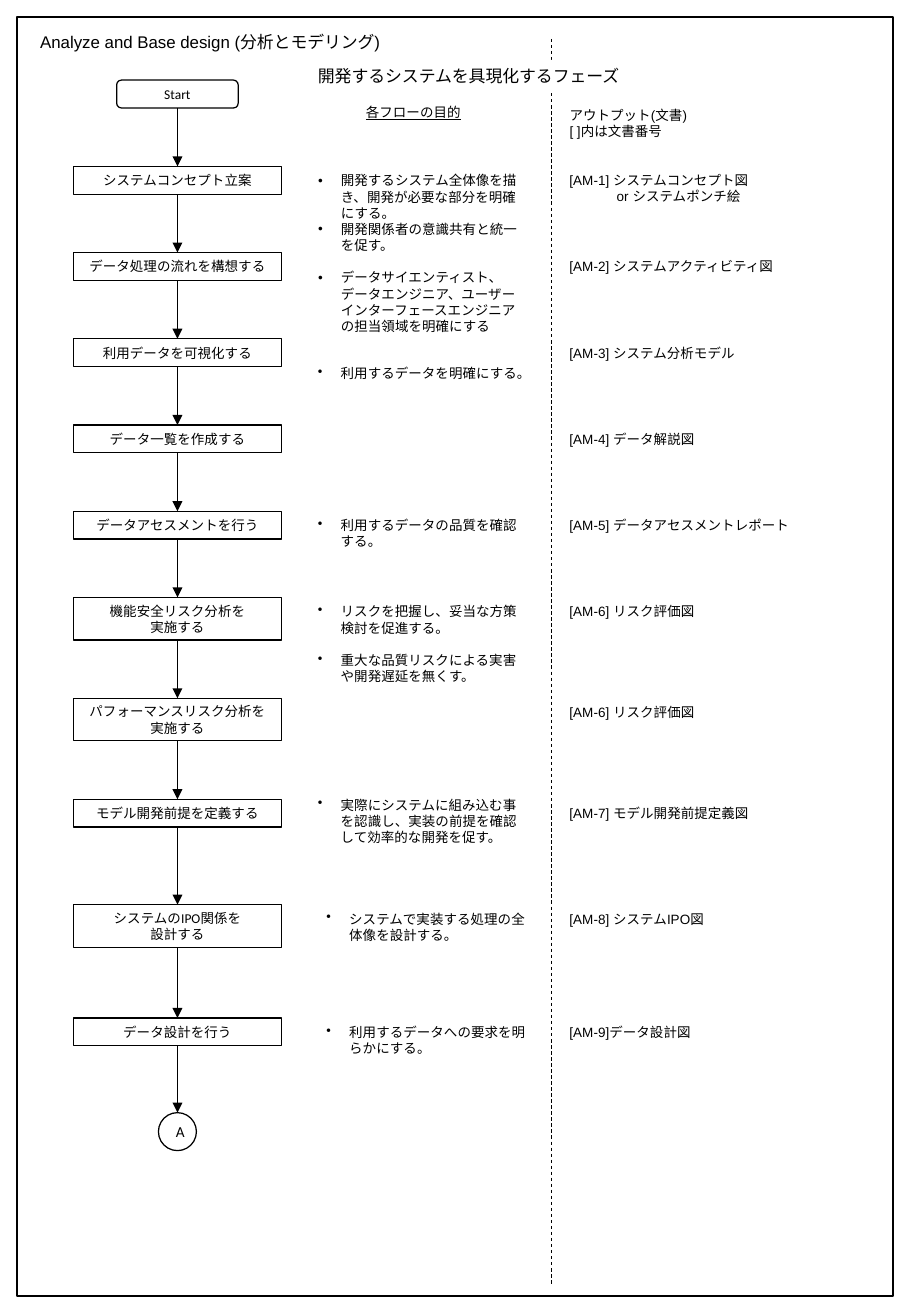
"""Build the one-page flow of the analysis and modelling phase."""
from dataclasses import dataclass

from lxml.etree import SubElement
from pptx import Presentation
from pptx.dml.color import RGBColor
from pptx.enum.dml import MSO_LINE
from pptx.enum.shapes import MSO_CONNECTOR, MSO_SHAPE
from pptx.enum.text import MSO_ANCHOR, MSO_AUTO_SIZE, PP_ALIGN
from pptx.oxml.ns import qn
from pptx.util import Pt

INK, PAPER = "000000", "FFFFFF"
AXIS, TOP, GAP, LOW, TALL = 105.2, 47.5, 34.6, 16.5, 25.2
WIDE, AIM_X, OUT_X = 123, 181.4, 330.5
INDENT, BLANK = 13.5, 9.6


@dataclass
class Aim:
    """Bulleted purpose of a step, with its offset from the step."""
    items: tuple
    right: float = 0
    down: float = 0
    apart: int = -1


@dataclass
class Step:
    """Box of the flow, with its output and purpose."""
    label: tuple
    out: tuple = ()
    aim: Aim | None = None
    height: float = LOW
    gap: float = GAP
    width: float = WIDE
    kind: MSO_SHAPE = MSO_SHAPE.FLOWCHART_PROCESS
    size: float = 8
    room: float = 160


STEPS = (
    Step(("Start",), width=72, kind=MSO_SHAPE.FLOWCHART_ALTERNATE_PROCESS),
    Step(("システムコンセプト立案",),
         ("[AM-1] システムコンセプト図", "or システムポンチ絵"),
         Aim(("開発するシステム全体像を描き、開発が必要な部分を明確にする。",
              "開発関係者の意識共有と統一を促す。",
              "データサイエンティスト、データエンジニア、ユーザーインターフェース"
              "エンジニアの担当領域を明確にする"), apart=2)),
    Step(("データ処理の流れを構想する",), ("[AM-2] システムアクティビティ図",)),
    Step(("利用データを可視化する",), ("[AM-3] システム分析モデル",),
         Aim(("利用するデータを明確にする。",), down=12.2)),
    Step(("データ一覧を作成する",), ("[AM-4] データ解説図",)),
    Step(("データアセスメントを行う",), ("[AM-5] データアセスメントレポート",),
         Aim(("利用するデータの品質を確認する。",))),
    Step(("機能安全リスク分析を", "実施する"), ("[AM-6] リスク評価図",),
         Aim(("リスクを把握し、妥当な方策検討を促進する。",
              "重大な品質リスクによる実害や開発遅延を無くす。"), apart=1),
         height=TALL),
    Step(("パフォーマンスリスク分析を実施する",), ("[AM-6] リスク評価図",),
         height=TALL),
    Step(("モデル開発前提を定義する",), ("[AM-7] モデル開発前提定義図",),
         Aim(("実際にシステムに組み込む事を認識し、実装の前提を確認して"
              "効率的な開発を促す。",), down=-5)),
    Step(("システムのIPO関係を", "設計する"), ("[AM-8] システムIPO図",),
         Aim(("システムで実装する処理の全体像を設計する。",), right=5),
         height=TALL, gap=46, room=97.5),
    Step(("データ設計を行う",), ("[AM-9]データ設計図",),
         Aim(("利用するデータへの要求を明らかにする。",), right=5), gap=42),
    Step(("A",), height=22.5, gap=39.6, width=22.5, kind=MSO_SHAPE.OVAL, size=9),
)


def tint(code: str) -> RGBColor:
    """Turn a hex string into a colour."""
    return RGBColor.from_string(code)


def write(item, lines: tuple, face: str = "Arial", size: float = 8,
          align=PP_ALIGN.LEFT, anchor=MSO_ANCHOR.TOP):
    """Fill a shape with evenly styled paragraphs and return its frame."""
    frame = item.text_frame
    frame.text = "\n".join(lines)
    frame.word_wrap = True
    frame.auto_size = MSO_AUTO_SIZE.NONE
    frame.vertical_anchor = anchor
    for para in frame.paragraphs:
        para.alignment = align
        para.space_before = Pt(0)
        para.font.name, para.font.size = face, Pt(size)
        para.font.color.rgb = tint(INK)
    return frame


def place(item, x: float, y: float, w: float, h: float):
    """Move a placeholder."""
    item.left, item.top, item.width, item.height = map(Pt, (x, y, w, h))
    return item


def note(x: float, y: float, w: float, h: float, *lines: str, **style):
    """Add a text box."""
    box = slide.shapes.add_textbox(Pt(x), Pt(y), Pt(w), Pt(h))
    return write(box, lines, **style)


def block(kind: MSO_SHAPE, x: float, y: float, w: float, h: float,
          fill: str = "", edge: float = 0):
    """Add a flat shape with an optional fill and outline."""
    item = slide.shapes.add_shape(kind, Pt(x), Pt(y), Pt(w), Pt(h))
    item.shadow.inherit = False
    if fill:
        item.fill.solid()
        item.fill.fore_color.rgb = tint(fill)
    else:
        item.fill.background()
    if edge:
        item.line.color.rgb = tint(INK)
        item.line.width = Pt(edge)
    else:
        item.line.fill.background()
    return item


def rule(x: float, y: float, end: float, width: float):
    """Add a flat vertical line."""
    line = slide.shapes.add_connector(
        MSO_CONNECTOR.STRAIGHT, Pt(x), Pt(y), Pt(x), Pt(end))
    line.line.color.rgb = tint(INK)
    line.line.width = Pt(width)
    SubElement(line._element.spPr, qn("a:effectLst"))
    return line


def arrow(start, goal) -> None:
    """Link two boxes from bottom to top."""
    line = rule(AXIS, 0, 0, 0.75)
    line.begin_connect(start, 2 if start.width > Pt(30) else 4)
    line.end_connect(goal, 0)
    SubElement(line.line._get_or_add_ln(), qn("a:tailEnd"), type="triangle")


def bullet(frame, apart: int) -> None:
    """Give each paragraph a hanging bullet and one a gap above."""
    for pos, para in enumerate(frame.paragraphs):
        para.space_before = Pt(BLANK if pos == apart else 0)
        props = para._p.get_or_add_pPr()
        props.set("marL", str(Pt(INDENT)))
        props.set("indent", str(-Pt(INDENT)))
        mark = SubElement(props, qn("a:buChar"), char="•")
        props.find(qn("a:defRPr")).addprevious(mark)


def detail(step: Step, y: float) -> None:
    """Write the output and purpose beside a step."""
    if step.out:
        frame = note(OUT_X, y, step.room, 17, *step.out)
        for para in frame.paragraphs[1:]:
            para._p.get_or_add_pPr().set("marL", str(Pt(28)))
    if step.aim:
        aim = step.aim
        area = (AIM_X + aim.right, y + aim.down, 135.4, 17 + 10 * len(aim.items))
        if spare:
            frame = write(place(spare.pop(), *area), aim.items)
        else:
            frame = note(*area, *aim.items)
        bullet(frame, aim.apart)


deck = Presentation()
deck.slide_width, deck.slide_height = Pt(540), Pt(780)
slide = deck.slides.add_slide(deck.slide_layouts[1])
title, body = slide.placeholders
spare = [body]

block(MSO_SHAPE.RECTANGLE, 10, 10, 519.2, 758.2, edge=1)
rule(327, 23, 761, 0.5).line.dash_style = MSO_LINE.DASH
write(place(title, 16.6, 15.1, 260, 19.4),
      ("Analyze and Base design (分析とモデリング)",), size=10)
phase = block(MSO_SHAPE.RECTANGLE, AIM_X, 35.5, 316.8, 19.4, fill=PAPER)
write(phase, ("開発するシステムを具現化するフェーズ",), size=10)
head = note(200, 58.3, 90, 17, "各フローの目的", align=PP_ALIGN.CENTER)
head.paragraphs[0].font.underline = True
note(OUT_X, 59.8, 85.7, 27, "アウトプット(文書)", "[ ]内は文書番号")

y, last = TOP, None
for step in STEPS:
    if last:
        y += step.gap
    box = block(step.kind, AXIS - step.width / 2, y, step.width, step.height,
                edge=0.75)
    write(box, step.label, "Calibri", step.size, PP_ALIGN.CENTER,
          MSO_ANCHOR.MIDDLE)
    if last:
        arrow(last, box)
    detail(step, y)
    y, last = y + step.height, box

deck.save("out.pptx")
